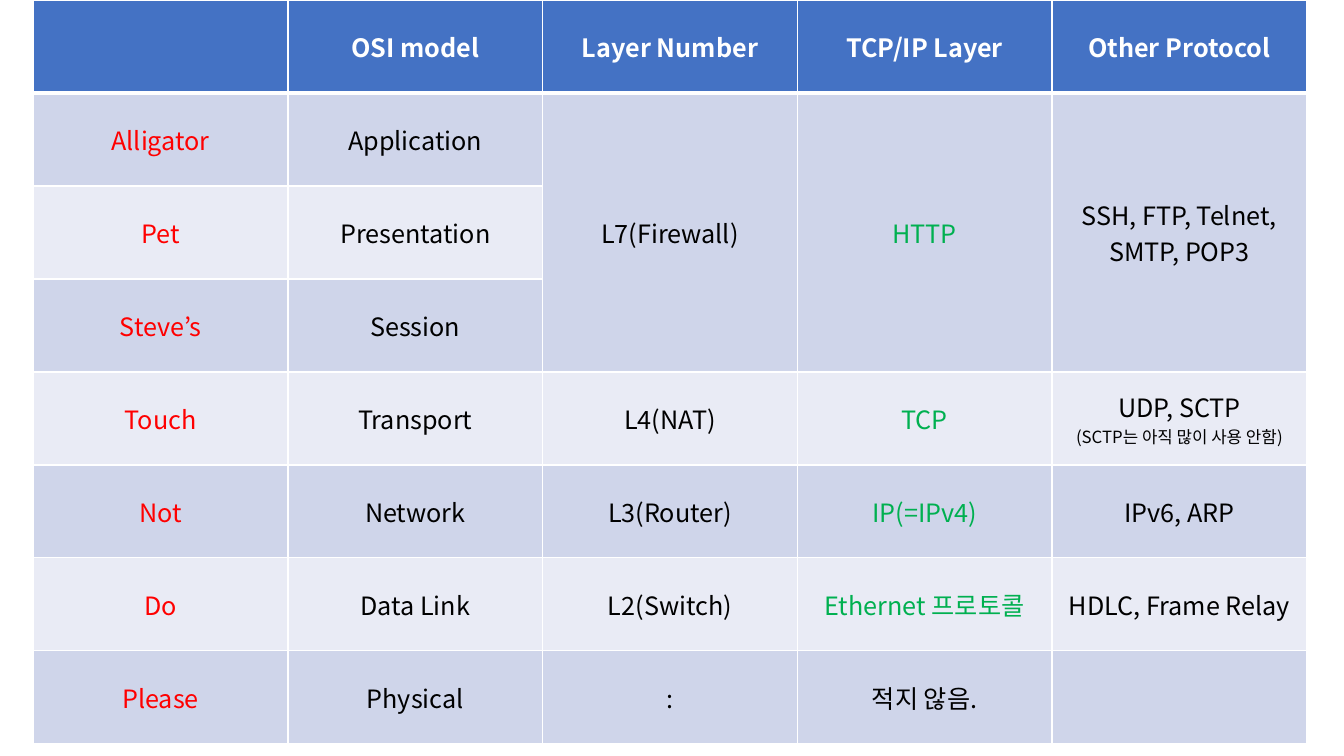
from lxml.etree import SubElement
from pptx import Presentation
from pptx.dml.color import RGBColor
from pptx.enum.text import MSO_ANCHOR, PP_ALIGN
from pptx.oxml.ns import qn
from pptx.util import Inches, Pt

# Content: mnemonic, OSI layer, layer number, TCP/IP protocol, other protocols
HEADER = ("", "OSI model", "Layer Number", "TCP/IP Layer", "Other Protocol")
LAYERS = [
    ("Alligator", "Application", "L7(Firewall)", "HTTP", "SSH, FTP, Telnet, SMTP, POP3"),
    ("Pet", "Presentation", "", "", ""),
    ("Steve’s", "Session", "", "", ""),
    ("Touch", "Transport", "L4(NAT)", "TCP", "UDP, SCTP\n(SCTP는 아직 많이 사용 안함)"),
    ("Not", "Network", "L3(Router)", "IP(=IPv4)", "IPv6, ARP"),
    ("Do", "Data Link", "L2(Switch)", "Ethernet 프로토콜", "HDLC, Frame Relay"),
    ("Please", "Physical", ":", "적지 않음.", ""),
]
MERGED_ROWS = (1, 3)
MERGED_COLUMNS = (2, 3, 4)
MNEMONIC_COLUMN, PROTOCOL_COLUMN = 0, 3

THEME = {
    "font": "Noto Sans CJK KR",
    "size": 18, "note_size": 12,
    "header": "4472C4", "bands": ("CFD5EA", "E9EBF5"), "border": "FFFFFF",
    "header_text": "FFFFFF", "text": "000000",
    "mnemonic": "FF0000", "protocol": "00B050",
}
LEFT, TOP, WIDTH, HEIGHT = 0.33, 0, 12.63, 7.38


def write_text(cell, text, color, bold=False):
    """Fill a cell with centred lines; lines after the first are small notes."""
    cell.vertical_anchor = MSO_ANCHOR.MIDDLE
    for index, line in enumerate(text.split("\n")):
        frame = cell.text_frame
        paragraph = frame.add_paragraph() if index else frame.paragraphs[0]
        paragraph.alignment = PP_ALIGN.CENTER
        if not line:
            continue
        run = paragraph.add_run()
        run.text = line
        run.font.name = THEME["font"]
        run.font.size = Pt(THEME["note_size"] if index else THEME["size"])
        run.font.bold = bold
        run.font.color.rgb = RGBColor.from_string(color)
        SubElement(run.font._element, qn("a:ea"), typeface=THEME["font"])


def style_cell(cell, fill, top=1, bottom=1):
    """Set the borders, then the fill, in schema order."""
    properties = cell._tc.get_or_add_tcPr()
    for side, width in (("L", 1), ("R", 1), ("T", top), ("B", bottom)):
        line = SubElement(properties, qn("a:ln" + side), w=str(Pt(width)))
        solid = SubElement(line, qn("a:solidFill"))
        SubElement(solid, qn("a:srgbClr"), val=THEME["border"])
    cell.fill.solid()
    cell.fill.fore_color.rgb = RGBColor.from_string(fill)


def text_color(row, column):
    if row == 0:
        return THEME["header_text"]
    if column == MNEMONIC_COLUMN:
        return THEME["mnemonic"]
    if column == PROTOCOL_COLUMN and row < len(LAYERS):
        return THEME["protocol"]
    return THEME["text"]


def main():
    presentation = Presentation()
    presentation.slide_width = Inches(13.33)
    presentation.slide_height = Inches(7.5)
    slide = presentation.slides.add_slide(presentation.slide_layouts[6])

    # Table grid
    rows = [HEADER, *LAYERS]
    table = slide.shapes.add_table(
        len(rows), len(HEADER),
        Inches(LEFT), Inches(TOP), Inches(WIDTH), Inches(HEIGHT),
    ).table

    # Cells: header, then alternating bands
    for row, texts in enumerate(rows):
        fill = THEME["bands"][(row - 1) % 2] if row else THEME["header"]
        for column, text in enumerate(texts):
            cell = table.cell(row, column)
            style_cell(cell, fill, top=3 if row == 1 else 1, bottom=1 if row else 3)
            write_text(cell, text, text_color(row, column), bold=row == 0)

    # The three upper layers share one cell per column
    first, last = MERGED_ROWS
    for column in MERGED_COLUMNS:
        table.cell(first, column).merge(table.cell(last, column))

    presentation.save("out.pptx")


if __name__ == "__main__":
    main()
